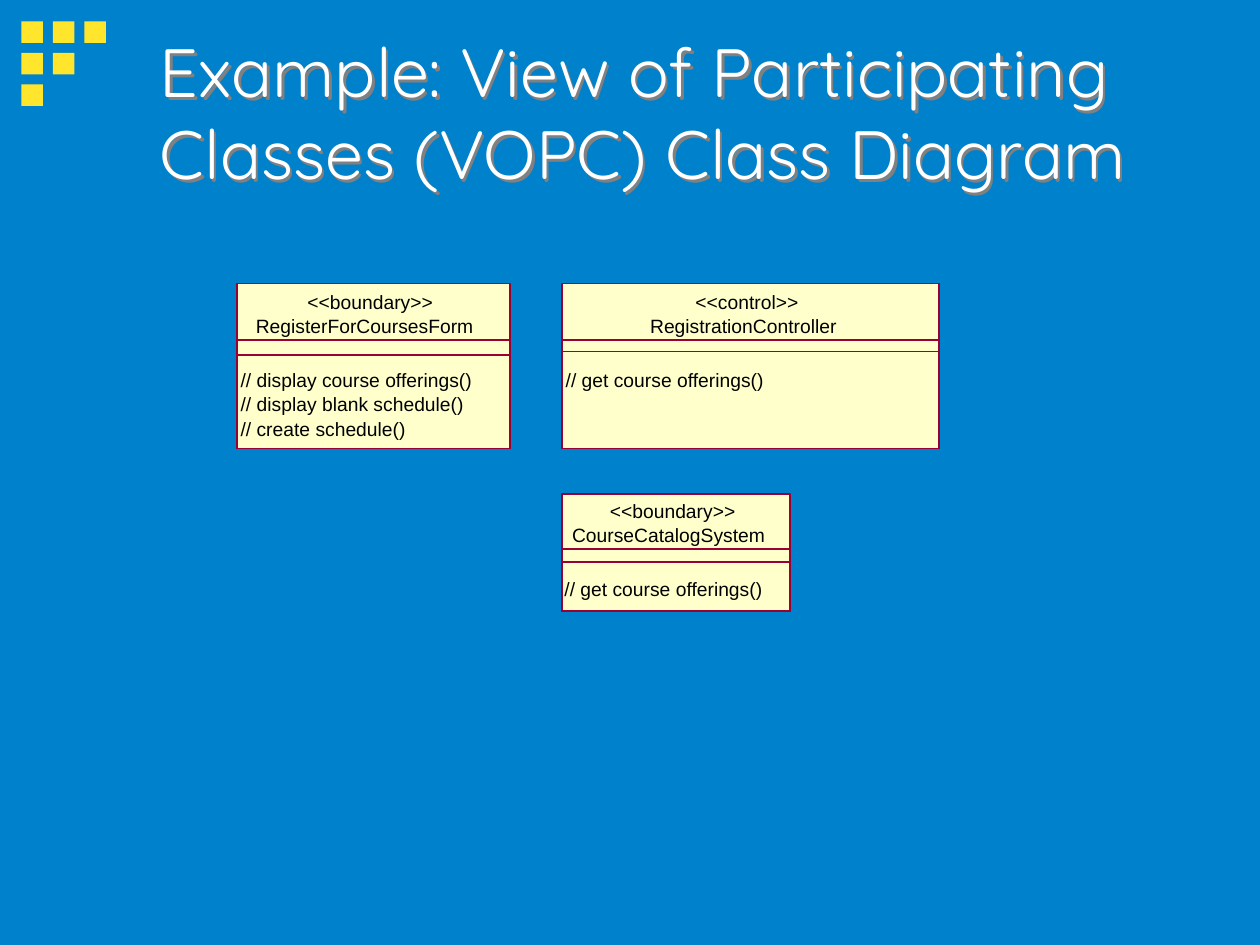
from lxml import etree
from pptx import Presentation
from pptx.dml.color import RGBColor
from pptx.enum.shapes import MSO_SHAPE
from pptx.enum.text import MSO_ANCHOR
from pptx.oxml.ns import qn
from pptx.util import Inches, Pt

RECT = MSO_SHAPE.RECTANGLE
MIDDLE = MSO_ANCHOR.MIDDLE

COLORS = {
    "background": "0081CB", "square": "FFE62D", "class_fill": "FFFFCC",
    "class_line": "990033", "title": "FFFFFF", "shadow": "808080", "text": "000000",
}
TITLE_FONT = {"name": "Quicksand", "size": Pt(39)}
CLASS_FONT = {"name": "Arial", "size": Pt(11)}
LINE_HEIGHT = 0.18
OPERATION_PITCH = 0.195
SLACK = 0.05  # spare width that keeps each line from wrapping

# Lines of text are (text, left, width), with left measured from the class box
CLASSES = [
    {"box": (4.46, 2.25, 2.99, 1.31), "dividers": (0.45, 0.54),
     "stereotype": ("<<control>>", 1.06, 0.82),
     "name": ("RegistrationController", 0.7, 1.48),
     "operations": [("// get course offerings()", 0.03, 1.58)]},
    {"box": (4.46, 3.92, 1.81, 0.93), "dividers": (0.44, 0.54),
     "stereotype": ("<<boundary>>", 0.38, 1),
     "name": ("CourseCatalogSystem", 0.08, 1.53),
     "operations": [("// get course offerings()", 0.02, 1.58)]},
    {"box": (1.88, 2.25, 2.17, 1.31), "dividers": (0.45, 0.57),
     "stereotype": ("<<boundary>>", 0.56, 1),
     "name": ("RegisterForCoursesForm", 0.15, 1.73),
     "operations": [("// display course offerings()", 0.03, 1.84),
                    ("// display blank schedule()", 0.03, 1.77),
                    ("// create schedule()", 0.03, 1.31)]},
]


def rgb(key):
    return RGBColor.from_string(COLORS[key])


def add_rect(s, box, fill=None, line=None):
    sp = s.shapes.add_shape(RECT, *map(Inches, box))
    sp.shadow.inherit = False
    if fill:
        sp.fill.solid()
        sp.fill.fore_color.rgb = rgb(fill)
    else:
        sp.fill.background()
    if line:
        sp.line.color.rgb = rgb(line)
        sp.line.width = Pt(1)
    else:
        sp.line.fill.background()


def add_text(s, box, text, font, color, frame):
    sp = s.shapes.add_textbox(*map(Inches, box))
    tf = sp.text_frame
    tf.word_wrap = True
    for key, value in frame.items():
        setattr(tf, key, value)
    r = tf.paragraphs[0].add_run()
    r.text = text
    r.font.color.rgb = rgb(color)
    for key, value in font.items():
        setattr(r.font, key, value)
    return sp


def add_corner_squares(s, left, top, size=0.17, pitch=0.25):
    for row in range(3):
        for col in range(3 - row):
            add_rect(s, (left + col * pitch, top + row * pitch, size, size), "square")


def add_title(s, box, text):
    sp = add_text(s, box, text, TITLE_FONT, "title", {"vertical_anchor": MIDDLE})
    # The box has no fill, so its shadow falls from the letters
    effects = etree.SubElement(sp._element.spPr, qn("a:effectLst"))
    shadow = etree.SubElement(effects, qn("a:outerShdw"), dist="25400", dir="2700000")
    etree.SubElement(shadow, qn("a:srgbClr"), val=COLORS["shadow"])


def add_class(s, box, dividers, stereotype, name, operations):
    left, top, width, height = box
    add_rect(s, box, "class_fill", "class_line")
    # Attribute and operation compartments
    for offset in dividers:
        add_rect(s, (left, top + offset, width, height - offset), line="class_line")
    # Heading lines, then one line for each operation
    header = dividers[0]
    lines = [(header - 0.4, stereotype), (header - 0.21, name)]
    lines += [(header + 0.22 + i * OPERATION_PITCH, op) for i, op in enumerate(operations)]
    frame = {f"margin_{side}": 0 for side in ("left", "top", "right", "bottom")}
    for dy, (text, dx, text_width) in lines:
        add_text(s, (left + dx, top + dy, text_width + SLACK, LINE_HEIGHT),
                 text, CLASS_FONT, "text", frame)


def main():
    prs = Presentation()
    prs.slide_width, prs.slide_height = Inches(10), Inches(7.5)
    s = prs.slides.add_slide(prs.slide_layouts[6])
    s.background.fill.solid()
    s.background.fill.fore_color.rgb = rgb("background")
    add_corner_squares(s, 0.17, 0.17)
    add_title(s, (1.17, 0.26, 8.5, 1.25),
              "Example: View of Participating Classes (VOPC) Class Diagram")
    for uml_class in CLASSES:
        add_class(s, **uml_class)
    prs.save("out.pptx")


if __name__ == "__main__":
    main()
